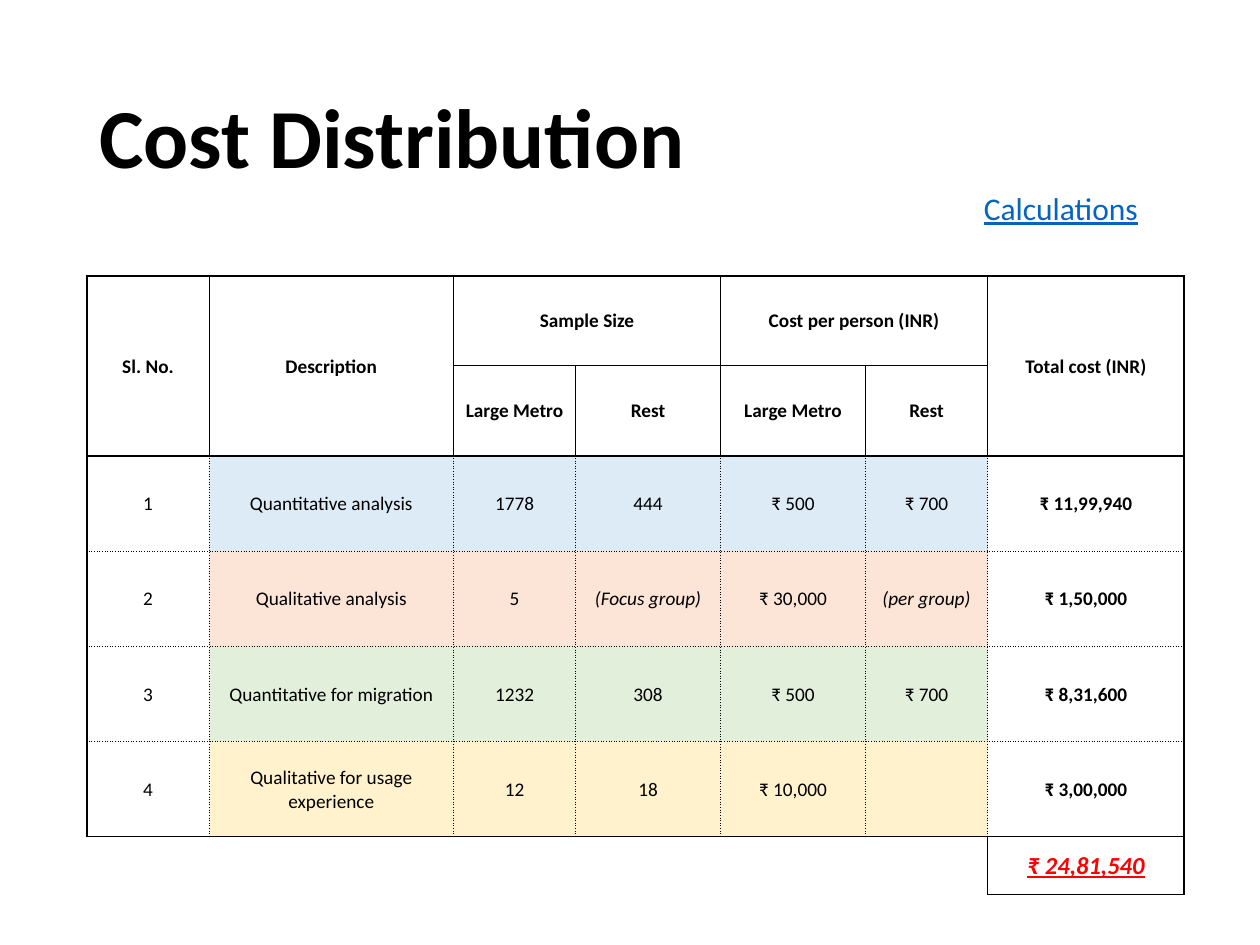
"""Build the cost distribution slide."""
from lxml import etree
from pptx import Presentation
from pptx.dml.color import RGBColor
from pptx.enum import text
from pptx.oxml import ns
from pptx.util import Inches, Pt

THEME = {
    "font": "Calibri",
    "ink": "000000", "link": "0563C1", "total": "FF0000",
    "title_size": 48, "link_size": 18, "cell_size": 11, "total_size": 14,
    "thin": 0.5, "thick": 1,
    "no_style": "{2D5ABB26-0587-4C30-8999-92F81FD0307C}",
}
TITLE = "Cost Distribution"
LINK = "Calculations"
HEADERS = [
    ["Sl. No.", "Description", "", "Sample Size", "", "Cost per person (INR)", "", "Total cost (INR)"],
    ["", "", "", "Large Metro", "Rest", "Large Metro", "Rest", ""],
]
ITEMS = [
    ["1", "Quantitative analysis", "", "1778", "444", "₹ 500", "₹ 700", "₹ 11,99,940"],
    ["2", "Qualitative analysis", "", "5", "(Focus group)", "₹ 30,000", "(per group)", "₹ 1,50,000"],
    ["3", "Quantitative for migration", "", "1232", "308", "₹ 500", "₹ 700", "₹ 8,31,600"],
    ["4", "Qualitative for usage experience", "", "12", "18", "₹ 10,000", "", "₹ 3,00,000"],
]
TOTAL = [""] * 7 + ["₹ 24,81,540"]
ROWS = HEADERS + ITEMS + [TOTAL]
ITEM_FILLS = ["DDEBF7", "FCE4D6", "E2EFDA", "FFF2CC"]
COL_WIDTHS = [0.97, 0.97, 0.97, 0.97, 1.15, 1.15, 0.97, 1.56]
ROW_HEIGHTS = [0.71, 0.72] + [0.755] * 4 + [0.46]
FIRST_ITEM, TOTAL_ROW, LAST_COL = len(HEADERS), len(ROWS) - 1, len(COL_WIDTHS) - 1
MERGES = [(0, 0, 1, 0), (0, 1, 1, 2), (0, 3, 0, 4), (0, 5, 0, 6), (0, 7, 1, 7)]
MERGES += [(row, 1, row, 2) for row in range(FIRST_ITEM, TOTAL_ROW)]


def write(tf, words, size, color="ink", align=None, anchor=None, bold=False,
          italic=False, underline=False, spacing=None):
    """Put one formatted paragraph in a text frame."""
    tf.word_wrap = True
    if anchor is not None:
        tf.vertical_anchor = anchor
    p = tf.paragraphs[0]
    p.alignment, p.line_spacing = align, spacing
    p.font.size = Pt(THEME[size])
    if not words:
        return
    r = p.add_run()
    r.text = words
    r.font.name, r.font.size = THEME["font"], Pt(THEME[size])
    r.font.color.rgb = RGBColor.from_string(THEME[color])
    r.font.bold, r.font.italic, r.font.underline = bold, italic, underline


def across(line, col):
    """Return weight and dash of the horizontal rule at a row boundary."""
    if line > TOTAL_ROW:
        return ("thick", "solid") if col == LAST_COL else None
    if line in (0, FIRST_ITEM, TOTAL_ROW):
        return "thick", "solid"
    return "thin", "solid" if line < FIRST_ITEM else "sysDot"


def down(line, row):
    """Return weight and dash of the vertical rule at a column boundary."""
    if row == TOTAL_ROW:
        return ("thick", "solid") if line >= LAST_COL else None
    if line in (0, LAST_COL + 1):
        return "thick", "solid"
    return "thin", "solid" if row < FIRST_ITEM else "sysDot"


def add_border(cell, side, style):
    """Draw one side of a cell."""
    tcPr = cell._tc.get_or_add_tcPr()
    ln = etree.SubElement(tcPr, ns.qn(f"a:ln{side}"))
    if style is None:
        etree.SubElement(ln, ns.qn("a:noFill"))
        return
    weight, dash = style
    ln.set("w", str(Pt(THEME[weight])))
    fill = etree.SubElement(ln, ns.qn("a:solidFill"))
    etree.SubElement(fill, ns.qn("a:srgbClr"), val=THEME["ink"])
    etree.SubElement(ln, ns.qn("a:prstDash"), val=dash)


def fill_cell(cell, row, col):
    """Give a cell its text, borders and fill."""
    is_total = row == TOTAL_ROW
    is_item = FIRST_ITEM <= row < TOTAL_ROW
    words = ROWS[row][col]
    cell.margin_left = cell.margin_right = cell.margin_top = Inches(0.01)
    cell.margin_bottom = 0
    cell.vertical_anchor = text.MSO_ANCHOR.MIDDLE
    write(cell.text_frame, words, "total_size" if is_total else "cell_size",
          color="total" if is_total else "ink", align=text.PP_ALIGN.CENTER,
          bold=not is_item or col == LAST_COL,
          italic=is_total or words.startswith("("), underline=is_total)
    height, width = (cell.span_height, cell.span_width) if cell.is_merge_origin else (1, 1)
    add_border(cell, "L", down(col, row))
    add_border(cell, "R", down(col + width, row))
    add_border(cell, "T", across(row, col))
    add_border(cell, "B", across(row + height, col))
    if is_item and 0 < col < LAST_COL:
        cell.fill.solid()
        cell.fill.fore_color.rgb = RGBColor.from_string(ITEM_FILLS[row - FIRST_ITEM])
    else:
        cell.fill.background()


def add_cost_table(s):
    """Add the cost table to the slide."""
    frame = s.shapes.add_table(len(ROWS), len(COL_WIDTHS), Inches(0.69), Inches(2.19),
                               Inches(sum(COL_WIDTHS)), Inches(sum(ROW_HEIGHTS)))
    table = frame.table
    table.first_row = table.horz_banding = False
    frame._element.find(".//" + ns.qn("a:tableStyleId")).text = THEME["no_style"]
    for column, width in zip(table.columns, COL_WIDTHS):
        column.width = Inches(width)
    for line, height in zip(table.rows, ROW_HEIGHTS):
        line.height = Inches(height)
    for top, left, bottom, right in MERGES:
        table.cell(top, left).merge(table.cell(bottom, right))
    for row in range(len(ROWS)):
        for col in range(len(COL_WIDTHS)):
            cell = table.cell(row, col)
            if not cell.is_spanned:
                fill_cell(cell, row, col)


def main():
    """Assemble and save the slide."""
    prs = Presentation()
    prs.slide_width, prs.slide_height = Inches(10), Inches(7.5)
    s = prs.slides.add_slide(prs.slide_layouts[6])
    title = s.shapes.add_textbox(Inches(0.69), Inches(0.4), Inches(8.62), Inches(1.45))
    write(title.text_frame, TITLE, "title_size", bold=True, spacing=0.9,
          anchor=text.MSO_ANCHOR.MIDDLE)
    add_cost_table(s)
    link = s.shapes.add_textbox(Inches(7.71), Inches(1.45), Inches(1.61), Inches(0.4))
    write(link.text_frame, LINK, "link_size", color="link", underline=True)
    prs.save("out.pptx")


if __name__ == "__main__":
    main()
